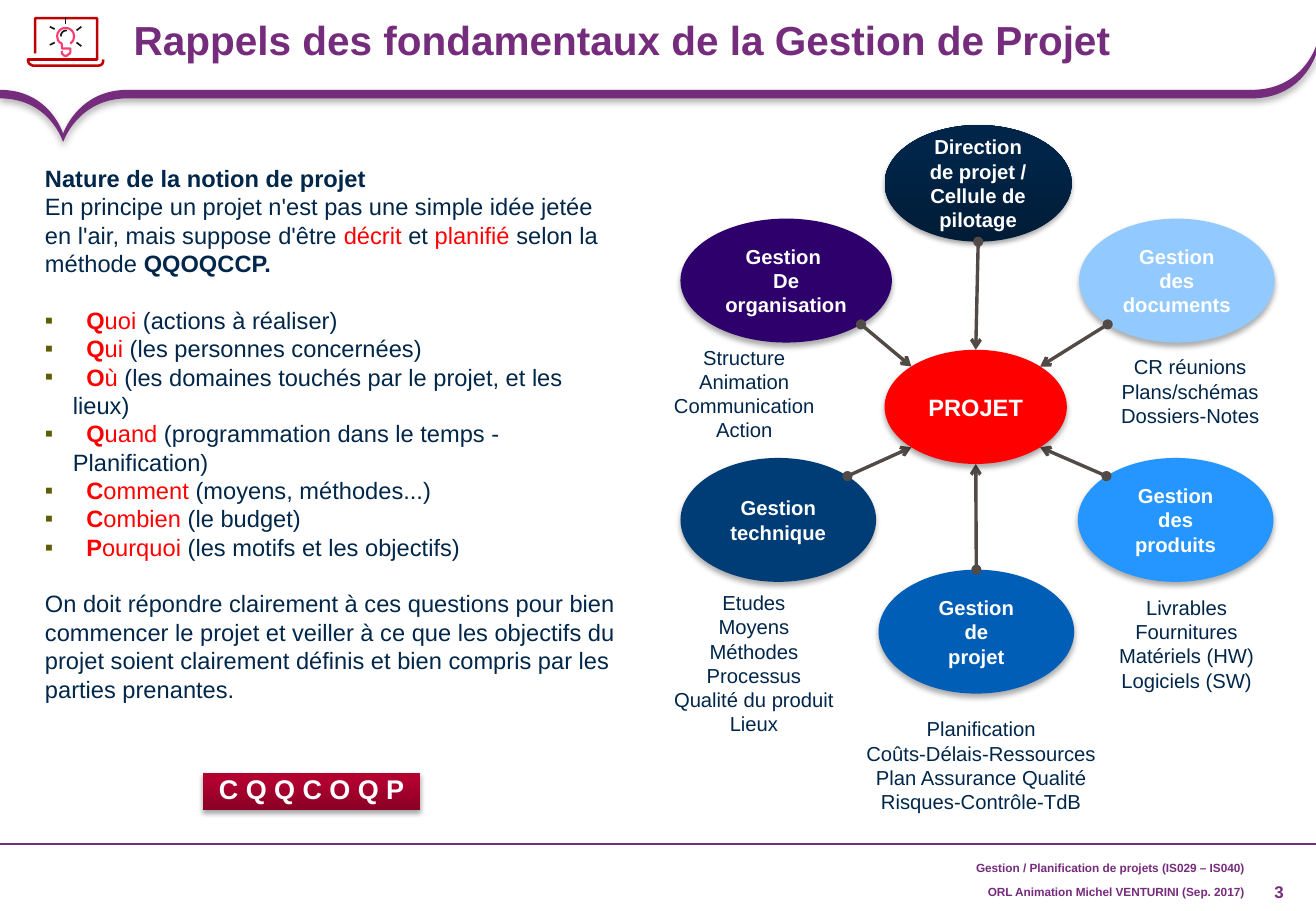
from dataclasses import dataclass
from typing import NamedTuple

from lxml import etree
from pptx import Presentation
from pptx.dml.color import RGBColor
from pptx.enum.shapes import MSO_CONNECTOR, MSO_SHAPE
from pptx.enum.text import MSO_ANCHOR, MSO_AUTO_SIZE, PP_ALIGN
from pptx.oxml.ns import qn
from pptx.util import Inches, Pt

OVAL, RECT = MSO_SHAPE.OVAL, MSO_SHAPE.RECTANGLE
LINE = MSO_CONNECTOR.STRAIGHT
TOP, MIDDLE, BOTTOM = MSO_ANCHOR.TOP, MSO_ANCHOR.MIDDLE, MSO_ANCHOR.BOTTOM
LEFT, CENTER, RIGHT = PP_ALIGN.LEFT, PP_ALIGN.CENTER, PP_ALIGN.RIGHT
FIXED = MSO_AUTO_SIZE.NONE
FONT = "Arial"
HEX = {
    "purple": "762C7C", "navy": "00264A", "white": "FFFFFF", "red": "FF0000",
    "olive": "5E5E00", "gray": "514A46", "ink": "1A171B", "pink": "FE3C71",
    "brick": "C00000", "night": "001C37", "dusk": "002548", "violet": "2E006C",
    "blue": "005EB7", "azure": "2595FF", "deep": "003C76", "sky": "92CAFF",
    "wine": "890025", "cherry": "B20030",
}
Box = tuple[float, float, float, float]


class Run(NamedTuple):
    text: str
    color: str = "navy"
    bold: bool = False


@dataclass
class Node:
    """An oval; side is the direction of its link towards the hub."""
    box: Box
    fill: str
    lines: list[str]
    side: tuple[int, int]
    dark: str = ""


@dataclass
class Note:
    box: Box
    lines: list[str]


@dataclass
class Path:
    """Points as (x, y), or as (x1, y1, x2, y2, x, y) for a Bézier curve."""
    steps: list[tuple]
    color: str
    width: float


BAND = [(10.3, .74), (1.05, .74), (.64, .74, .52, 1.1, .52, 1.1), (.52, 1.1, .41, .74, 0, .74),
        (0, .81), (.41, .81, .52, 1.17, .52, 1.17), (.52, 1.17, .64, .81, 1.05, .81),
        (10.3, .81), (10.72, .81, 10.83, .45, 10.83, .45), (10.83, .38),
        (10.83, .38, 10.72, .74, 10.3, .74)]
ICON = [
    Path([(.85, .49), (.85, .52, .84, .54, .81, .54), (.27, .54), (.25, .54, .23, .52, .23, .49),
          (.8, .49), (.8, .15), (.29, .15), (.29, .44)], "brick", 1.5),
    Path([(.58, .36), (.6, .35, .61, .32, .61, .3), (.61, .26, .58, .23, .54, .23),
          (.5, .23, .47, .26, .47, .3), (.47, .32, .48, .35, .51, .36), (.51, .4), (.58, .4),
          (.58, .43), (.58, .44, .57, .45, .56, .45), (.56, .46, .55, .46, .54, .46),
          (.53, .46, .52, .46, .52, .45), (.51, .45, .51, .44, .51, .43), (.51, .42)],
         "pink", 1.25),
    Path([(.5, .3), (.5, .27, .52, .25, .55, .25)], "ink", 1),
]
RAYS = [((.54, .2), (.54, .14)), ((.45, .24), (.41, .22)), ((.45, .35), (.41, .37)),
        ((.63, .35), (.67, .38)), ((.63, .25), (.67, .22))]
HUB = Node((7.28, 2.88, 1.5, .94), "red", ["PROJET"], (0, 0))
NODES = [
    Node((7.28, 1.03, 1.54, .96), "dusk", ["Direction de projet / Cellule de pilotage"],
         (0, 1), "night"),
    Node((5.6, 1.8, 1.74, 1.02), "violet", ["Gestion ", "De", "organisation"], (1, 1)),
    Node((7.23, 4.69, 1.61, 1.02), "blue", ["Gestion", "de", "projet"], (0, -1)),
    Node((8.87, 3.77, 1.61, 1.02), "azure", ["Gestion des produits"], (-1, -1)),
    Node((5.6, 3.77, 1.61, 1.02), "deep", ["Gestion technique"], (1, -1)),
    Node((8.88, 1.8, 1.61, 1.02), "sky", ["Gestion des documents"], (-1, 1)),
]
NOTES = [
    Note((5.39, 2.79, 1.47, .91), ["Structure", "Animation", "Communication", "Action"]),
    Note((5.39, 4.81, 1.63, 1.31), ["Etudes", "Moyens", "Méthodes", "Processus",
                                    "Qualité du produit", "Lieux"]),
    Note((7.01, 5.85, 2.13, .91), ["Planification", "Coûts-Délais-Ressources",
                                   "Plan Assurance Qualité Risques-Contrôle-TdB"]),
    Note((9.03, 4.85, 1.47, .91), ["Livrables", "Fournitures", "Matériels (HW) Logiciels (SW)"]),
    Note((9.06, 2.87, 1.47, .71), ["CR réunions", "Plans/schémas", "Dossiers-Notes"]),
]
INTRO = [Run("En principe un projet n'est pas une simple idée jetée en l'air, mais suppose d'être "),
         Run("décrit", "red"), Run(" et "), Run("planifié", "red"), Run(" selon la méthode "),
         Run("QQOQCCP.", bold=True)]
ASKS = [("Quoi", "(actions à réaliser)"), ("Qui", "(les personnes concernées)"),
        ("Où", "(les domaines touchés par le projet, et les lieux)"),
        ("Quand", "(programmation dans le temps - Planification)"),
        ("Comment", "(moyens, méthodes...)"), ("Combien", "(le budget)"),
        ("Pourquoi", "(les motifs et les objectifs)")]
CLOSE = ("On doit répondre clairement à ces questions pour bien commencer le projet et veiller à ce "
         "que les objectifs du projet soient clairement définis et bien compris par les parties "
         "prenantes.")


def rgb(name: str) -> RGBColor:
    return RGBColor.from_string(HEX[name])


def add(parent, tag: str, **attrs):
    node = etree.SubElement(parent, qn(tag))
    for key, value in attrs.items():
        node.set(key, str(value))
    return node


def place(shape, box: Box) -> None:
    shape.left, shape.top, shape.width, shape.height = map(Inches, box)


def frame(shape, anchor, pads: Box = (.1, .05, .1, .05), wrap: bool = True):
    text = shape.text_frame
    text.auto_size, text.word_wrap, text.vertical_anchor = FIXED, wrap, anchor
    (text.margin_left, text.margin_top,
     text.margin_right, text.margin_bottom) = map(Inches, pads)
    return text


def write(para, runs: list[Run], size: float, align=CENTER) -> None:
    para.alignment = align
    for item in runs:
        run = para.add_run()
        run.text = item.text
        font = run.font
        font.name, font.size, font.bold = FONT, Pt(size), item.bold
        font.color.rgb = rgb(item.color)


def fill_text(text, lines: list[str], size: float, color: str, bold: bool, align=CENTER) -> None:
    for i, line in enumerate(lines):
        para = text.add_paragraph() if i else text.paragraphs[0]
        write(para, [Run(line, color, bold)], size, align)


def shade(shape, alpha: int = 32, blur: float = 3.5, dist: float = 2.2) -> None:
    shape.shadow.inherit = False
    glow = add(shape.element.spPr.find(qn("a:effectLst")), "a:outerShdw", blurRad=Pt(blur),
               dist=Pt(dist), dir=5400000, algn="ctr", rotWithShape=0)
    add(add(glow, "a:srgbClr", val="000000"), "a:alpha", val=alpha * 1000)


def block(slide, kind, box: Box, color: str, dark: str = ""):
    """Add a shadowed shape, plain or fading to a dark foot."""
    shape = slide.shapes.add_shape(kind, *map(Inches, box))
    shape.line.fill.background()
    if dark:
        shape.fill.gradient()
        shape.fill.gradient_angle = 90
        for stop, (at, name) in zip(shape.fill.gradient_stops, [(0, dark), (.8, color)]):
            stop.position, stop.color.rgb = at, rgb(name)
        shade(shape, 35, 3.1, 1.8)
    else:
        shape.fill.solid()
        shape.fill.fore_color.rgb = rgb(color)
        shade(shape)
    return shape


def oval(slide, node: Node, size: float) -> None:
    shape = block(slide, OVAL, node.box, node.fill, node.dark)
    fill_text(frame(shape, MIDDLE), node.lines, size, "white", True)


def label(slide, box: Box, lines: list[str], size: float, color: str = "navy", bold: bool = False,
          align=CENTER, anchor=TOP, pads: Box = (.1, .05, .1, .05), wrap: bool = True) -> None:
    shape = slide.shapes.add_textbox(*map(Inches, box))
    fill_text(frame(shape, anchor, pads, wrap), lines, size, color, bold, align)


def rule(slide, start, end, color: str, width: float, tips: bool = False) -> None:
    line = slide.shapes.add_connector(LINE, *map(Inches, (*start, *end)))
    line.line.color.rgb, line.line.width = rgb(color), Pt(width)
    if tips:
        stroke = line.line._get_or_add_ln()
        add(stroke, "a:headEnd", type="arrow")
        add(stroke, "a:tailEnd", type="oval")
    add(line.element.spPr, "a:effectLst")


def trace(slide, steps: list[tuple], closed: bool):
    """Build an outline, then join the points of each curve into a Bézier segment."""
    dots = [(Inches(step[k]), Inches(step[k + 1]))
            for step in steps for k in range(0, len(step), 2)]
    pen = slide.shapes.build_freeform(*dots[0])
    pen.add_line_segments(dots[1:], close=closed)
    shape = pen.convert_to_shape()
    shape.shadow.inherit = False
    legs = iter(list(shape.element.iter(qn("a:lnTo"))))
    for step in steps[1:]:
        group = [next(legs) for _ in range(len(step) // 2)]
        if len(group) == 3:
            curve = etree.Element(qn("a:cubicBezTo"))
            group[0].addprevious(curve)
            for leg in group:
                curve.append(leg[0])
                leg.getparent().remove(leg)
    return shape


def port(box: Box, dx: int, dy: int) -> tuple[float, float]:
    """Give the point of an oval's edge in one of eight directions."""
    x, y, w, h = box
    reach = .5 ** .5 if dx and dy else 1
    return x + w / 2 * (1 + dx * reach), y + h / 2 * (1 + dy * reach)


def body(slide) -> None:
    shape = slide.placeholders[1]
    place(shape, (.27, 1.3, 4.94, 4.11))
    text = frame(shape, TOP)
    asks = [[Run("\t"), Run(word[0], "red", True), Run(word[1:], "red"), Run(" " + rest)]
            for word, rest in ASKS]
    paras = [[Run("Nature de la notion de projet", bold=True)], INTRO, *asks, [Run(CLOSE)]]
    for i, runs in enumerate(paras):
        para = text.add_paragraph() if i else text.paragraphs[0]
        props = para._p.get_or_add_pPr()
        listed = runs in asks
        props.set("marL", str(Inches(.23 if listed else 0)))
        props.set("indent", str(Inches(-.23 if listed else 0)))
        if listed:
            add(add(props, "a:buClr"), "a:srgbClr", val=HEX["olive"])
            add(props, "a:buFont", typeface=FONT)
            add(props, "a:buChar", char="▪")
            tabs = add(props, "a:tabLst")
            for stop in (.11, .34):
                add(tabs, "a:tab", pos=Inches(stop), algn="l")
        else:
            add(props, "a:buNone")
        para.space_before = Pt(16.8 if i in (2, len(paras) - 1) else 0)
        write(para, runs, 14, LEFT)


def main() -> None:
    deck = Presentation()
    deck.slide_width, deck.slide_height = Inches(10.83), Inches(7.5)
    slide = deck.slides.add_slide(deck.slide_layouts[1])

    pads = (.04, .04, .04, .04)
    label(slide, (10.4, 7.26, .25, .17), ["3"], 10, "purple", True, CENTER, MIDDLE,
          (0, 0, 0, 0), False)
    label(slide, (7.37, 7.24, 2.91, .2), ["ORL Animation Michel VENTURINI (Sep. 2017)"],
          7, "purple", True, RIGHT, BOTTOM, pads)
    label(slide, (8.19, 7.03, 2.09, .21), ["Gestion / Planification de projets (IS029 – IS040)"],
          7, "purple", True, RIGHT, BOTTOM, pads, False)
    rule(slide, (10.83, 6.95), (0, 6.95), "purple", 1)
    band = trace(slide, BAND, True)
    band.fill.solid()
    band.fill.fore_color.rgb = rgb("purple")
    band.line.fill.background()
    shade(band, 31, 4, 2)

    title = slide.shapes.title
    place(title, (0, 0, 10.83, .79))
    fill_text(frame(title, TOP, (1.1, .12, .12, .12)),
              ["Rappels des fondamentaux de la Gestion de Projet"], 24, "purple", True, LEFT)
    for item in ICON:
        shape = trace(slide, item.steps, False)
        shape.fill.background()
        shape.line.color.rgb, shape.line.width = rgb(item.color), Pt(item.width)
    for start, end in RAYS:
        rule(slide, start, end, "ink", 1)

    for node in NODES:
        oval(slide, node, 12)
    for node in NODES:
        dx, dy = node.side
        rule(slide, port(HUB.box, -dx, -dy), port(node.box, dx, dy), "gray", 2, True)
    for note in NOTES:
        label(slide, note.box, note.lines, 12)
    oval(slide, HUB, 14)
    body(slide)
    badge = block(slide, RECT, (1.67, 6.36, 1.79, .31), "cherry", "wine")
    fill_text(frame(badge, TOP, (.1, 0, .1, .04)), ["C Q Q C O Q P"], 16, "white", True)
    deck.save("out.pptx")


if __name__ == "__main__":
    main()
